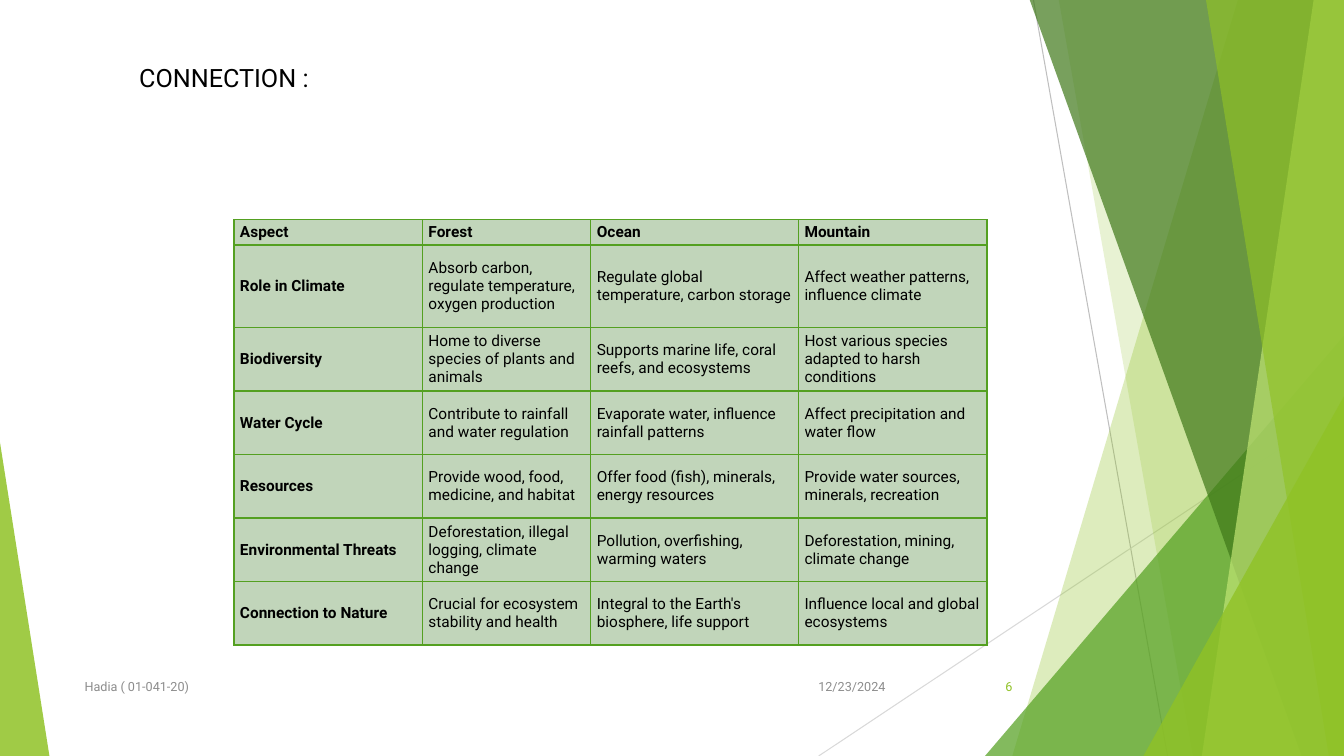
from dataclasses import dataclass

import pptx
import pptx.dml.color
import pptx.enum.shapes
import pptx.enum.text
import pptx.oxml
import pptx.oxml.ns
import pptx.util

Inches = pptx.util.Inches
Pt = pptx.util.Pt
qn = pptx.oxml.ns.qn
RGB = pptx.dml.color.RGBColor.from_string
Align = pptx.enum.text.PP_ALIGN
Anchor = pptx.enum.text.MSO_ANCHOR
NS = pptx.oxml.ns.nsdecls("a")

WIDTH, HEIGHT, TOP = 13.33, 7.5, -0.01


@dataclass(frozen=True)
class Theme:
    font: str = "Roboto"
    ink: str = "000000"
    muted: str = "8C8C8C"
    lime: str = "90C226"
    pale_lime: str = "C0E474"
    green: str = "54A021"
    forest: str = "3F7819"
    cell: str = "C1D5BA"
    rule_dark: str = "BFBFBF"
    rule_light: str = "D9D9D9"
    title_size: float = 18
    table_size: float = 11
    footer_size: float = 9
    rule_width: float = 0.75
    border_width: float = 1


class SlideBuilder:
    def __init__(self, slide, theme):
        self.slide = slide
        self.shapes = slide.shapes
        self.theme = theme

    def style_text(self, tf, size, color, bold=False, align=Align.LEFT):
        for p in tf.paragraphs:
            p.alignment = align
            for r in p.runs:
                r.font.name = self.theme.font
                r.font.size = Pt(size)
                r.font.bold = bold
                r.font.color.rgb = RGB(color)

    def title(self, text, left, top, width, height):
        s = self.shapes.title
        s.left, s.top = Inches(left), Inches(top)
        s.width, s.height = Inches(width), Inches(height)
        tf = s.text_frame
        tf.text = text
        tf.word_wrap = True
        tf.vertical_anchor = Anchor.TOP
        tf.auto_size = pptx.enum.text.MSO_AUTO_SIZE.SHAPE_TO_FIT_TEXT
        self.style_text(tf, self.theme.title_size, self.theme.ink)

    def footer(self, text, left, width, color, align):
        s = self.shapes.add_textbox(Inches(left), Inches(6.61), Inches(width), Inches(0.4))
        tf = s.text_frame
        tf.text = text
        tf.word_wrap = True
        tf.vertical_anchor = Anchor.MIDDLE
        self.style_text(tf, self.theme.footer_size, color, align=align)

    def line(self, x1, y1, x2, y2, color):
        s = self.shapes.add_connector(
            pptx.enum.shapes.MSO_CONNECTOR.STRAIGHT,
            Inches(x1), Inches(y1), Inches(x2), Inches(y2))
        s.line.color.rgb = RGB(color)
        s.line.width = Pt(self.theme.rule_width)
        s.element.spPr.append(pptx.oxml.parse_xml(f"<a:effectLst {NS}/>"))

    def paint(self, s, color, opacity):
        """Give a shape a translucent fill without outline or shadow."""
        s.shadow.inherit = False
        s.line.fill.background()
        s.fill.solid()
        s.fill.fore_color.rgb = RGB(color)
        clr = s.element.spPr.find(qn("a:solidFill")).find(qn("a:srgbClr"))
        clr.append(pptx.oxml.parse_xml(f'<a:alpha {NS} val="{opacity * 1000}"/>'))

    def blade(self, top_x, bottom_x, color, opacity):
        """Fill the slide's right side from a slanted left edge."""
        points = [(WIDTH, TOP), (WIDTH, HEIGHT), (bottom_x, HEIGHT)]
        fb = self.shapes.build_freeform(Inches(top_x), Inches(TOP))
        fb.add_line_segments([(Inches(x), Inches(y)) for x, y in points])
        self.paint(fb.convert_to_shape(), color, opacity)

    def triangle(self, left, top, width, apex, color, opacity):
        """Draw a triangle that stands on the slide's bottom edge."""
        s = self.shapes.add_shape(
            pptx.enum.shapes.MSO_SHAPE.ISOSCELES_TRIANGLE,
            Inches(left), Inches(top), Inches(width), Inches(HEIGHT - top))
        s.adjustments[0] = apex
        self.paint(s, color, opacity)

    def cell(self, cell, text, bold):
        t = self.theme
        cell.text = text
        cell.vertical_anchor = Anchor.MIDDLE
        cell.margin_left = cell.margin_right = Inches(0.06)
        cell.margin_top = cell.margin_bottom = Inches(0.03)
        self.style_text(cell.text_frame, t.table_size, t.ink, bold)
        tc_pr = cell._tc.get_or_add_tcPr()
        for side in ("lnL", "lnR", "lnT", "lnB"):
            tc_pr.append(pptx.oxml.parse_xml(
                f'<a:{side} {NS} w="{Pt(t.border_width)}"><a:solidFill>'
                f'<a:srgbClr val="{t.green}"/></a:solidFill></a:{side}>'))
        cell.fill.solid()
        cell.fill.fore_color.rgb = RGB(t.cell)

    def table(self, rows, left, top, widths, heights):
        table = self.shapes.add_table(
            len(rows), len(widths), Inches(left), Inches(top),
            Inches(sum(widths)), Inches(sum(heights))).table
        table.first_row = table.horz_banding = False
        for column, width in zip(table.columns, widths):
            column.width = Inches(width)
        for i, (texts, height) in enumerate(zip(rows, heights)):
            table.rows[i].height = Inches(height)
            for j, text in enumerate(texts):
                self.cell(table.cell(i, j), text, bold=i == 0 or j == 0)


ASPECTS = [
    ("Aspect", "Forest", "Ocean", "Mountain"),
    ("Role in Climate", "Absorb carbon, regulate temperature, oxygen production",
     "Regulate global temperature, carbon storage",
     "Affect weather patterns, influence climate"),
    ("Biodiversity", "Home to diverse species of plants and animals",
     "Supports marine life, coral reefs, and ecosystems",
     "Host various species adapted to harsh conditions"),
    ("Water Cycle", "Contribute to rainfall and water regulation",
     "Evaporate water, influence rainfall patterns",
     "Affect precipitation and water flow"),
    ("Resources", "Provide wood, food, medicine, and habitat",
     "Offer food (fish), minerals, energy resources",
     "Provide water sources, minerals, recreation"),
    ("Environmental Threats", "Deforestation, illegal logging, climate change",
     "Pollution, overfishing, warming waters",
     "Deforestation, mining, climate change"),
    ("Connection to Nature", "Crucial for ecosystem stability and health",
     "Integral to the Earth's biosphere, life support",
     "Influence local and global ecosystems"),
]


def main():
    prs = pptx.Presentation()
    prs.slide_width, prs.slide_height = Inches(WIDTH), Inches(HEIGHT)
    theme = Theme()
    b = SlideBuilder(prs.slides.add_slide(prs.slide_layouts[5]), theme)

    b.line(10.25, 0, 11.58, HEIGHT, theme.rule_dark)
    b.line(WIDTH, 4.03, 8.12, HEIGHT, theme.rule_light)
    b.blade(12.28, 10.04, theme.lime, 30)
    b.blade(10.5, 11.83, theme.lime, 20)
    b.triangle(9.77, 3.33, 3.56, 1, theme.green, 72)
    b.blade(10.21, 12.91, theme.forest, 70)
    b.blade(13.03, 11.92, theme.pale_lime, 70)
    b.blade(11.96, 13.18, theme.lime, 65)
    b.triangle(11.34, 3.93, 1.99, 1, theme.lime, 80)
    b.triangle(0, 4.39, 0.49, 0, theme.lime, 85)

    b.table(ASPECTS, 2.32, 2.18, [1.87, 1.67, 2.06, 1.87], [0.25, 0.82] + [0.63] * 5)
    b.title("CONNECTION :", 1.28, 0.57, 5.72, 0.4)
    b.footer("12/23/2024", 7.88, 1, theme.muted, Align.RIGHT)
    b.footer("Hadia ( 01-041-20)", 0.74, 6.89, theme.muted, Align.LEFT)
    b.footer("6", 9.39, 0.75, theme.lime, Align.RIGHT)
    prs.save("out.pptx")


if __name__ == "__main__":
    main()
